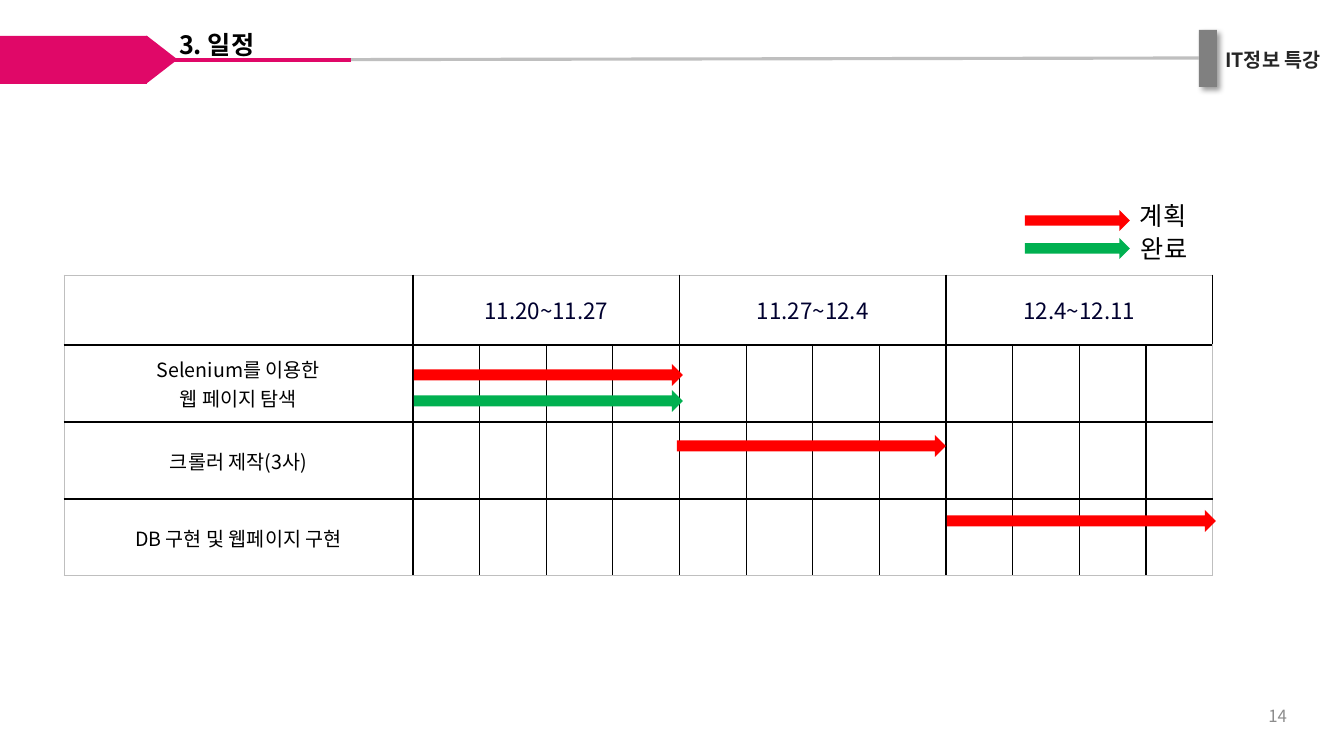
from lxml.etree import SubElement
from pptx import Presentation
from pptx.dml.color import RGBColor
from pptx.enum.shapes import MSO_CONNECTOR as Connector, MSO_SHAPE as Shape
from pptx.enum.text import MSO_ANCHOR as Anchor, PP_ALIGN as Align
from pptx.oxml.ns import qn
from pptx.util import Pt

# Content
FONT = "Noto Sans CJK KR"
PINK, GREY, RULE = "E00868", "808080", "BFBFBF"
PLAN, DONE, BLACK = "FF0000", "00B050", "000000"
TITLE = "3. 일정"
COURSE = "IT정보 특강"
PAGE = "14"
WEEKS = ["11.20~11.27", "11.27~12.4", "12.4~12.11"]
TASKS = ["Selenium를 이용한\n웹 페이지 탐색", "크롤러 제작(3사)", "DB 구현 및 웹페이지 구현"]
STEPS = 4  # columns in each week

# Lengths in px
TABLE_LEFT, TABLE_TOP = 64, 275
TASK_WIDTH, WEEKS_WIDTH = 349, 800
HEADER_HEIGHT, TASK_HEIGHT = 70, 77
LEGEND = [("계획", PLAN, 1130, 195, 210), ("완료", DONE, 1131, 228, 238)]
BARS = [(DONE, 414, 390), (PLAN, 414, 364), (PLAN, 947, 510), (PLAN, 677, 435)]
RULES = [(RULE, 164, 60, 1199, 58), (PINK, 168, 60, 351, 60)]


def px(length):
    return round(length * 914400 / 100.8)


def box(*lengths):
    return [px(length) for length in lengths]


def color(value):
    return RGBColor.from_string(value)


def write(frame, text, size, fill, align=Align.LEFT, bold=False, anchor=Anchor.TOP):
    frame.text = text
    frame.word_wrap = True
    frame.vertical_anchor = anchor
    for paragraph in frame.paragraphs:
        paragraph.alignment = align
        for run in paragraph.runs:
            run.font.name = FONT
            run.font.size = Pt(size)
            run.font.bold = bold
            run.font.color.rgb = color(fill)
            SubElement(run.font._element, qn("a:ea"), typeface=FONT)


def add_text(bounds, *style, **options):
    write(slide.shapes.add_textbox(*box(*bounds)).text_frame, *style, **options)


def add_block(kind, bounds, fill):
    shape = slide.shapes.add_shape(kind, *box(*bounds))
    shape.shadow.inherit = False
    shape.fill.solid()
    shape.fill.fore_color.rgb = color(fill)
    shape.line.fill.background()
    return shape


def set_border(cell, side, fill, width):
    line = SubElement(cell._tc.get_or_add_tcPr(), qn("a:" + side), w=str(Pt(width)))
    solid = SubElement(line, qn("a:solidFill"))
    SubElement(solid, qn("a:srgbClr"), val=fill)


presentation = Presentation()
presentation.slide_width, presentation.slide_height = box(1344, 756)
slide = presentation.slides.add_slide(presentation.slide_layouts[5])

# Header band
add_text((1199, 43, 148, 34), COURSE, 14, "262626", Align.CENTER, bold=True)
marker = add_block(Shape.RECTANGLE, (1199, 30, 18, 57), GREY)
effects = marker._element.spPr.find(qn("a:effectLst"))
shadow = SubElement(effects, qn("a:outerShdw"), blurRad=str(Pt(4)), dist=str(Pt(3)),
                    dir="2700000", algn="tl", rotWithShape="0")
shadow_color = SubElement(shadow, qn("a:srgbClr"), val=BLACK)
SubElement(shadow_color, qn("a:alpha"), val="40000")
for fill, *ends in RULES:
    rule = slide.shapes.add_connector(Connector.STRAIGHT, *box(*ends))
    rule.line.color.rgb = color(fill)
    rule.line.width = Pt(2.25)
    SubElement(rule._element.spPr, qn("a:effectLst"))
add_block(Shape.RECTANGLE, (0, 36, 147, 48), PINK)
add_block(Shape.ISOSCELES_TRIANGLE, (138, 44, 48, 31), PINK).rotation = 90

# Title
title = slide.shapes.title
title.left, title.top, title.width, title.height = box(169, 28, 547, 60)
write(title.text_frame, TITLE, 18, BLACK, bold=True)
title.text_frame.paragraphs[0].line_spacing = 0.9
title.text_frame.paragraphs[0].space_before = Pt(10)

# Schedule table
rows, columns = len(TASKS) + 1, len(WEEKS) * STEPS + 1
table_height = HEADER_HEIGHT + len(TASKS) * TASK_HEIGHT
table = slide.shapes.add_table(rows, columns, *box(
    TABLE_LEFT, TABLE_TOP, TASK_WIDTH + WEEKS_WIDTH, table_height)).table
table.first_row = table.horz_banding = False
for index, column in enumerate(table.columns):
    column.width = px(WEEKS_WIDTH / (columns - 1) if index else TASK_WIDTH)
for index, row in enumerate(table.rows):
    row.height = px(TASK_HEIGHT if index else HEADER_HEIGHT)
for r in range(rows):
    for c in range(columns):
        cell = table.cell(r, c)
        edges = {"lnL": c == 0, "lnR": c == columns - 1, "lnT": r == 0, "lnB": r == rows - 1}
        for side, outer in edges.items():
            set_border(cell, side, RULE if outer else BLACK, 0.75 if outer else 1)
        cell.fill.background()
        cell.vertical_anchor = Anchor.MIDDLE
for index, week in enumerate(WEEKS):
    first = 1 + index * STEPS
    table.cell(0, first).merge(table.cell(0, first + STEPS - 1))
    write(table.cell(0, first).text_frame, week, 16, "00002F", Align.CENTER, anchor=Anchor.MIDDLE)
for index, task in enumerate(TASKS, 1):
    write(table.cell(index, 0).text_frame, task, 14, BLACK, Align.CENTER, anchor=Anchor.MIDDLE)

# Legend and schedule bars
for label, fill, left, text_top, arrow_top in LEGEND:
    add_block(Shape.RIGHT_ARROW, (1025, arrow_top, 105, 21), fill)
    add_text((left, text_top, 84, 41), label, 18, BLACK)
for fill, left, top in BARS:
    add_block(Shape.RIGHT_ARROW, (left, top, 269, 22), fill)

# Page number
add_text((995, 696, 302, 40), PAGE, 12, "8C8C8C", Align.RIGHT, anchor=Anchor.MIDDLE)

presentation.save("out.pptx")
